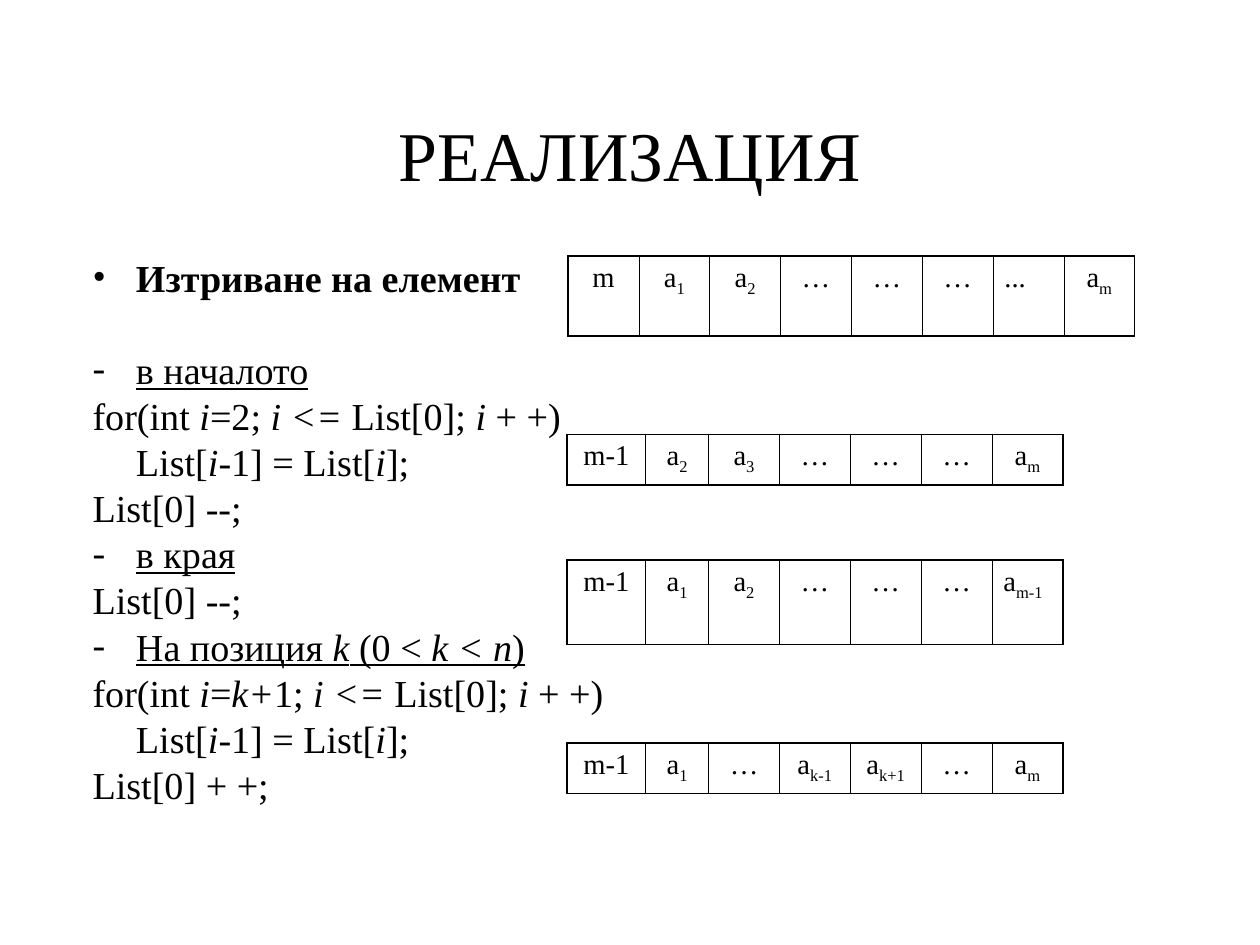
from dataclasses import dataclass

from lxml import etree
from pptx import Presentation
from pptx.dml import color
from pptx.enum import text as enums
from pptx.oxml import ns
from pptx.util import Inches, Pt

FONT = "Times New Roman"
BLACK = "000000"
CM_PER_INCH = 2.54
INDENT = 0.38
THICK, THIN = 1.08, 0.45
COLUMN = 0.62
SHIFTED_COLUMNS = (0.69, 0.55) + (COLUMN,) * 5


@dataclass
class Line:
    text: str
    bullet: str = ""
    bold: bool = False
    underline: bool = False
    indented: bool = False
    before: float = 0


@dataclass
class ListRow:
    left: float
    top: float
    height: float
    widths: tuple
    values: str
    left_aligned: tuple = ()


LINES = [
    Line("Изтриване на елемент", bullet="•", bold=True),
    Line("в началото", bullet="-", underline=True, before=29),
    Line("for(int |i|=2; |i <=| List[0]; |i| + +)"),
    Line("List[|i|-1] = List[|i|];", indented=True),
    Line("List[0] --;"),
    Line("в края", bullet="-", underline=True),
    Line("List[0] --;"),
    Line("На позиция |k| (0 < |k < n|)", bullet="-", underline=True),
    Line("for(int |i|=|k+|1; |i <=| List[0]; |i| + +)"),
    Line("List[|i|-1] = List[|i|];", indented=True),
    Line("List[0] + +;"),
]

ROWS = [
    ListRow(4.97, 2.24, 0.7, (COLUMN,) * 8, "m a_1 a_2 … … … ... a_m", ("...",)),
    ListRow(4.96, 3.8, 0.44, SHIFTED_COLUMNS, "m-1 a_2 a_3 … … … a_m"),
    ListRow(4.96, 4.9, 0.74, SHIFTED_COLUMNS, "m-1 a_1 a_2 … … … a_m-1", ("a_m-1",)),
    ListRow(4.96, 6.5, 0.44, SHIFTED_COLUMNS, "m-1 a_1 … a_k-1 a_k+1 … a_m"),
]


def rgb(value: str) -> color.RGBColor:
    return color.RGBColor.from_string(value)


def add_span(para, content: str, *, size: float, bold=False, italic=False,
             underline=False, baseline=0) -> None:
    span = para.add_run()
    span.text = content
    span.font.name = FONT
    span.font.size = Pt(size)
    span.font.bold = bold
    span.font.italic = italic
    span.font.underline = underline
    span.font.color.rgb = rgb(BLACK)
    if baseline:
        span._r.get_or_add_rPr().set("baseline", str(baseline * 1000))


def add_box(page, left: float, top: float, width: float, height: float, anchor):
    box = page.shapes.add_textbox(*map(Inches, (left, top, width, height)))
    frame = box.text_frame
    frame.word_wrap = True
    frame.vertical_anchor = anchor
    frame.margin_left = frame.margin_right = frame.margin_top = frame.margin_bottom = 0
    return frame


def set_bullet(para, symbol: str) -> None:
    properties = para._p.get_or_add_pPr()
    bullet_color = etree.SubElement(properties, ns.qn("a:buClr"))
    etree.SubElement(bullet_color, ns.qn("a:srgbClr")).set("val", BLACK)
    etree.SubElement(properties, ns.qn("a:buFont")).set("typeface", FONT)
    etree.SubElement(properties, ns.qn("a:buChar")).set("char", symbol)


def draw_line(para, line: Line) -> None:
    properties = para._p.get_or_add_pPr()
    properties.set("marL", str(Inches(INDENT)))
    properties.set("indent", str(0 if line.indented else -Inches(INDENT)))
    if line.bullet:
        set_bullet(para, line.bullet)
    para.line_spacing = 0.8
    para.space_after = Pt(6)
    if line.before:
        para.space_before = Pt(line.before)
    for index, part in enumerate(line.text.split("|")):
        add_span(para, part, size=24, bold=line.bold,
                 italic=index % 2 == 1, underline=line.underline)


def set_border(cell, side: str, width: float) -> None:
    border = etree.SubElement(cell._tc.get_or_add_tcPr(), ns.qn(f"a:ln{side}"))
    border.set("w", str(Pt(width)))
    fill = etree.SubElement(border, ns.qn("a:solidFill"))
    etree.SubElement(fill, ns.qn("a:srgbClr")).set("val", BLACK)


def draw_row(page, row: ListRow) -> None:
    values = row.values.split()
    last = len(values) - 1
    frame = page.shapes.add_table(1, len(values), Inches(row.left), Inches(row.top),
                                  Inches(sum(row.widths)), Inches(row.height))
    table = frame.table
    table.first_row = False
    table.horz_banding = False
    for index, (value, width) in enumerate(zip(values, row.widths)):
        table.columns[index].width = Inches(width)
        cell = table.cell(0, index)
        set_border(cell, "L", THICK if index == 0 else THIN)
        set_border(cell, "R", THICK if index == last else THIN)
        set_border(cell, "T", THICK)
        set_border(cell, "B", THICK)
        cell.fill.background()
        cell.margin_left = cell.margin_right = Inches(0.1)
        cell.margin_top = cell.margin_bottom = Inches(0.05)
        para = cell.text_frame.paragraphs[0]
        centred = value not in row.left_aligned
        para.alignment = enums.PP_ALIGN.CENTER if centred else enums.PP_ALIGN.LEFT
        name, _, subscript = value.partition("_")
        add_span(para, name, size=18)
        if subscript:
            add_span(para, subscript, size=18, baseline=-25)


def main() -> None:
    deck = Presentation()
    deck.slide_width = Inches(28 / CM_PER_INCH)
    deck.slide_height = Inches(21 / CM_PER_INCH)
    page = deck.slides.add_slide(deck.slide_layouts[6])

    title = add_box(page, 0.81, 0.69, 9.41, 1.38, enums.MSO_ANCHOR.MIDDLE).paragraphs[0]
    title.alignment = enums.PP_ALIGN.CENTER
    title.line_spacing = 0.93
    add_span(title, "РЕАЛИЗАЦИЯ", size=44)

    body = add_box(page, 0.81, 2.3, 9.51, 5.21, enums.MSO_ANCHOR.TOP)
    for index, line in enumerate(LINES):
        draw_line(body.add_paragraph() if index else body.paragraphs[0], line)

    for row in ROWS:
        draw_row(page, row)
    deck.save("out.pptx")


if __name__ == "__main__":
    main()
